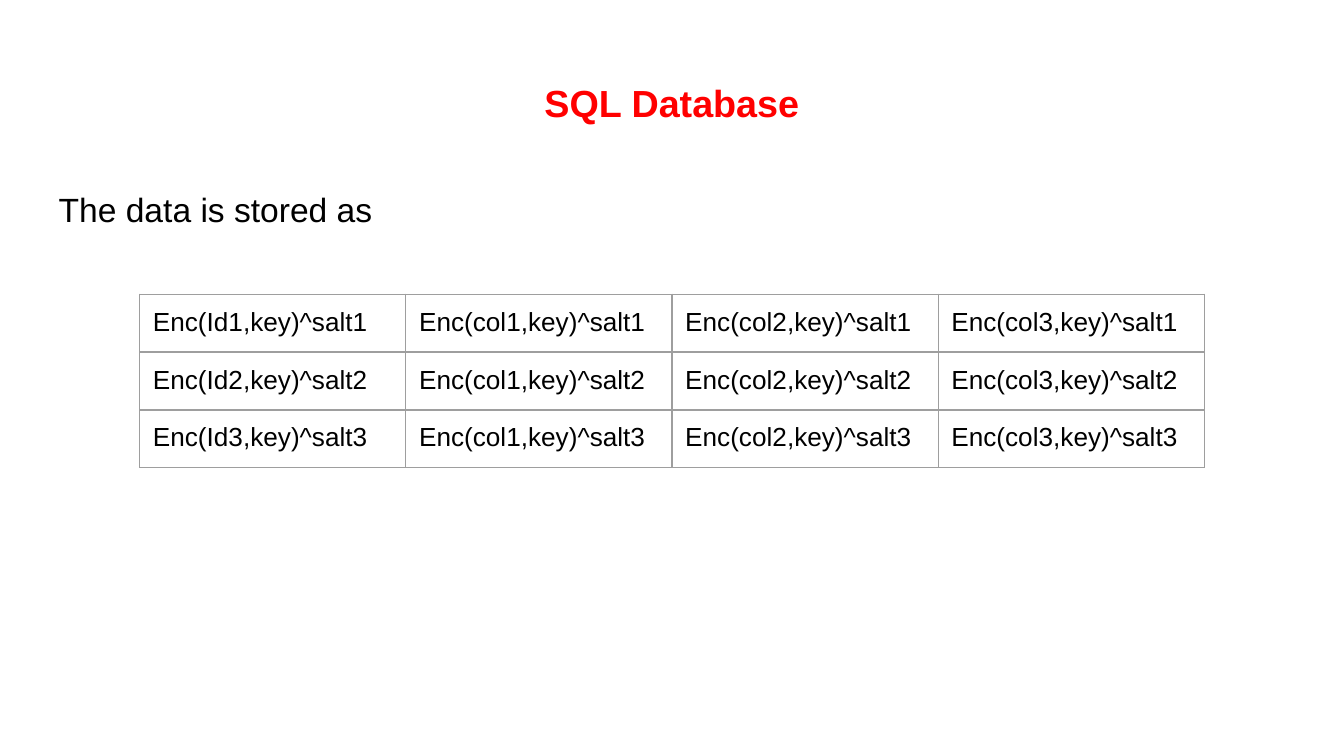
from dataclasses import dataclass

from lxml import etree
from pptx import Presentation
from pptx.dml.color import RGBColor
from pptx.enum.text import MSO_ANCHOR, PP_ALIGN
from pptx.oxml.ns import qn
from pptx.util import Cm, Pt

LEFT, CENTER = PP_ALIGN.LEFT, PP_ALIGN.CENTER
TOP = MSO_ANCHOR.TOP
BLANK_LAYOUT = 6


@dataclass(frozen=True)
class Theme:
    """Colours, type sizes and spacing of the slide."""
    font: str = "Arial"
    heading: str = "FF0000"
    ink: str = "000000"
    grid: str = "9E9E9E"
    heading_size: float = 20.2
    body_size: float = 18
    cell_size: float = 14
    grid_width: float = 0.75
    inset: float = 0.25


THEME = Theme()


def set_all(target, values):
    """Set each attribute of target from a dict."""
    for attribute, value in values.items():
        setattr(target, attribute, value)


def margins():
    """Return equal insets for a text frame or a cell."""
    return {f"margin_{side}": Cm(THEME.inset)
            for side in ("left", "top", "right", "bottom")}


def write(frame, words, size, color, bold=False, align=LEFT, spacing=1.0):
    """Write one formatted paragraph into a text frame."""
    paragraph = frame.paragraphs[0]
    set_all(paragraph, {"alignment": align, "line_spacing": spacing})
    run = paragraph.add_run()
    run.text = words
    set_all(run.font, {"name": THEME.font, "size": Pt(size), "bold": bold})
    run.font.color.rgb = RGBColor.from_string(color)


def add_text(slide, box, words, **style):
    """Place a line of text in a box given in centimetres."""
    frame = slide.shapes.add_textbox(*map(Cm, box)).text_frame
    set_all(frame, {"word_wrap": True, "vertical_anchor": TOP, **margins()})
    write(frame, words, **style)


def add_borders(cell):
    """Draw a thin line on all four sides of a cell."""
    properties = cell._tc.get_or_add_tcPr()
    for position, side in enumerate(("lnL", "lnR", "lnT", "lnB")):
        line = etree.Element(qn(f"a:{side}"), w=str(Pt(THEME.grid_width)))
        fill = etree.SubElement(line, qn("a:solidFill"))
        etree.SubElement(fill, qn("a:srgbClr"), val=THEME.grid)
        properties.insert(position, line)


def add_storage_table(slide, box, fields, record_count):
    """Fill a box with one row per record and one column per field."""
    table = slide.shapes.add_table(
        record_count, len(fields), *map(Cm, box)).table
    set_all(table, {"first_row": False, "horz_banding": False})
    for record in range(record_count):
        number = record + 1
        for column, field in enumerate(fields):
            cell = table.cell(record, column)
            set_all(cell, {"vertical_anchor": TOP, **margins()})
            cell.fill.background()
            add_borders(cell)
            write(cell.text_frame,
                  f"Enc({field.format(number)},key)^salt{number}",
                  THEME.cell_size, THEME.ink)


def build_database_slide(deck):
    """Add the slide with heading, introduction and storage table."""
    slide = deck.slides.add_slide(deck.slide_layouts[BLANK_LAYOUT])
    add_text(slide, (0.86, 1.25, 23.67, 1.6), "SQL Database",
             size=THEME.heading_size, color=THEME.heading,
             bold=True, align=CENTER)
    add_text(slide, (0.86, 3.2, 23.67, 9.5), "The data is stored as",
             size=THEME.body_size, color=THEME.ink, spacing=1.15)
    add_storage_table(slide, (2.64, 5.56, 20.12, 3.2),
                      ("Id{}", "col1", "col2", "col3"), record_count=3)


def main():
    """Build and save the deck."""
    deck = Presentation()
    set_all(deck, {"slide_width": Cm(25.4), "slide_height": Cm(14.29)})
    build_database_slide(deck)
    deck.save("out.pptx")


main()
